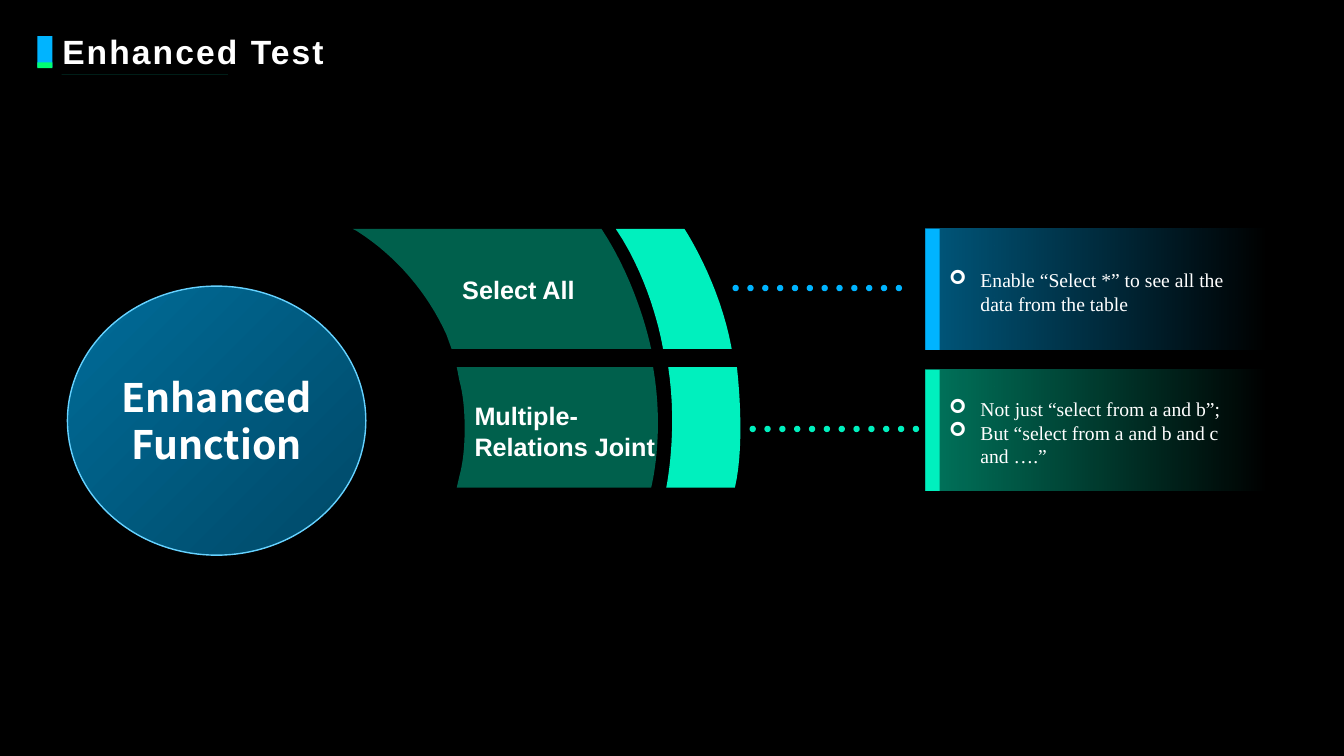
"""Build the Enhanced Test slide: a function circle, two curved bands and two notes."""
import math

from lxml import etree
from pptx import Presentation
from pptx.dml.color import RGBColor
from pptx.enum.shapes import MSO_CONNECTOR, MSO_SHAPE
from pptx.enum.text import MSO_ANCHOR, PP_ALIGN
from pptx.oxml.ns import qn
from pptx.util import Cm, Pt

RECTANGLE, OVAL = MSO_SHAPE.RECTANGLE, MSO_SHAPE.OVAL
STRAIGHT = MSO_CONNECTOR.STRAIGHT
TOP, MIDDLE = MSO_ANCHOR.TOP, MSO_ANCHOR.MIDDLE
LEFT, CENTER = PP_ALIGN.LEFT, PP_ALIGN.CENTER

BLACK, WHITE, BLUE, GREEN, TEAL = "000000", "FFFFFF", "00B4FF", "00FF73", "00F0BE"


def color(value):
    return RGBColor.from_string(value)


def set_alpha(element, percent):
    for color_node in element.iter(qn("a:srgbClr")):
        etree.SubElement(color_node, qn("a:alpha"), val=str(percent * 1000))


def bezier(start, control, steps=16):
    x1, y1, x2, y2, x3, y3 = control
    for step in range(1, steps + 1):
        t = step / steps
        u = 1 - t
        weights = u ** 3, 3 * u * u * t, 3 * u * t * t, t ** 3
        yield (sum(w * x for w, x in zip(weights, (start[0], x1, x2, x3))),
               sum(w * y for w, y in zip(weights, (start[1], y1, y2, y3))))


def outline(segments):
    """Flatten a list of points and six-number curves into points."""
    points = []
    for segment in segments:
        points.extend([segment] if len(segment) == 2 else bezier(points[-1], segment))
    return points


def write(text_frame, lines, font="Arial", size=18, bold=True, align=LEFT,
          anchor=TOP, spacing=None, tracking=None, bullet=None):
    text_frame.word_wrap = True
    text_frame.vertical_anchor = anchor
    for index, line in enumerate(lines):
        paragraph = text_frame.add_paragraph() if index else text_frame.paragraphs[0]
        paragraph.alignment = align
        if spacing:
            paragraph.line_spacing = spacing
        run = paragraph.add_run()
        run.text = line
        run.font.name, run.font.size, run.font.bold = font, Pt(size), bold
        run.font.color.rgb = color(WHITE)
        if tracking:
            run._r.get_or_add_rPr().set("spc", str(tracking))
        if bullet:
            properties = paragraph._p.get_or_add_pPr()
            properties.set("marL", str(Cm(0.79)))
            properties.set("indent", str(-Cm(0.79)))
            etree.SubElement(properties, qn("a:buFont"), typeface="Wingdings")
            etree.SubElement(properties, qn("a:buChar"), char=bullet)


class SlideBuilder:
    def __init__(self, slide):
        self.shapes = slide.shapes
        slide.background.fill.solid()
        slide.background.fill.fore_color.rgb = color(BLACK)

    def paint(self, shape, fill, alpha=None):
        shape.shadow.inherit = False
        shape.line.fill.background()
        shape.fill.solid()
        shape.fill.fore_color.rgb = color(fill)
        if alpha is not None:
            set_alpha(shape._element.spPr, alpha)
        return shape

    def preset(self, kind, box, fill):
        return self.paint(self.shapes.add_shape(kind, *map(Cm, box)), fill)

    def gradient(self, shape, stops, angle):
        shape.fill.gradient()
        shape.fill.gradient_angle = angle
        for stop, (fill, alpha) in zip(shape.fill.gradient_stops, stops):
            stop.color.rgb = color(fill)
            set_alpha(stop._gs, alpha)

    def freeform(self, contours, fill, alpha=None):
        scaled = [[(Cm(x), Cm(y)) for x, y in contour] for contour in contours]
        builder = self.shapes.build_freeform(*scaled[0][0], scale=1.0)
        for index, (start, *rest) in enumerate(scaled):
            if index:
                builder.move_to(*start)
            builder.add_line_segments(rest, close=True)
        return self.paint(builder.convert_to_shape(), fill, alpha)

    def dots(self, first_x, center_y, fill, count=12, pitch=0.374, radius=0.08):
        turns = [math.tau * step / 16 for step in range(16)]
        self.freeform([[(first_x + pitch * index + radius * math.cos(turn),
                         center_y + radius * math.sin(turn)) for turn in turns]
                       for index in range(count)], fill)

    def rule(self, x1, x2, y, stroke, alpha):
        line = self.shapes.add_connector(STRAIGHT, Cm(x1), Cm(y), Cm(x2), Cm(y))
        line.line.color.rgb = color(stroke)
        line.line.width = Pt(0.5)
        set_alpha(line._element.spPr, alpha)
        etree.SubElement(line._element.spPr, qn("a:effectLst"))

    def text(self, box, lines, **style):
        write(self.shapes.add_textbox(*map(Cm, box)).text_frame, lines, **style)

    def card(self, top, fill, text_box, lines):
        panel = self.preset(RECTANGLE, (23.32, top, 8.71, 3.05), fill)
        self.gradient(panel, [(fill, 50), (fill, 0)], 0)
        self.preset(RECTANGLE, (23.32, top, 0.36, 3.05), fill)
        self.text(text_box, lines, font="Times New Roman", size=14, bold=False, bullet="➢")

    def circle(self, box, lines):
        shape = self.preset(OVAL, box, BLUE)
        self.gradient(shape, [("006C99", 100), ("004866", 100)], 315)
        shape.line.color.rgb = color("66D2FF")
        shape.line.width = Pt(1)
        write(shape.text_frame, lines, font="Noto Sans CJK SC", size=28,
              align=CENTER, anchor=MIDDLE)


def main():
    presentation = Presentation()
    presentation.slide_width, presentation.slide_height = Cm(33.87), Cm(19.05)
    builder = SlideBuilder(presentation.slides.add_slide(presentation.slide_layouts[6]))

    builder.preset(RECTANGLE, (0.94, 0.91, 0.38, 0.79), BLUE)
    builder.preset(RECTANGLE, (0.94, 1.57, 0.38, 0.15), GREEN)
    builder.rule(1.55, 5.74, 1.88, TEAL, 20)
    builder.text((1.32, 0.76, 31.17, 1.24), ["Enhanced Test"],
                 size=24, spacing=0.9, tracking=150)

    builder.card(5.77, BLUE, (23.67, 6.63, 7.87, 1.45),
                 ["Enable “Select *” to see all the data from the table"])
    builder.card(9.32, TEAL, (23.67, 9.88, 7.8, 2.06),
                 ["Not just “select from a and b”;", "But “select from a and b and c and ….”"])
    builder.circle((1.7, 7.21, 7.52, 6.78), ["Enhanced", "Function"])
    builder.dots(18.54, 7.26, BLUE)
    builder.dots(18.97, 10.81, TEAL)

    lower_band = [(16.41, 12.29), (11.51, 12.29), (11.58, 11.99),
                  (11.68, 11.61, 11.71, 11.2, 11.71, 10.8),
                  (11.71, 10.39, 11.68, 9.98, 11.58, 9.6),
                  (11.51, 9.25), (16.46, 9.25), (16.76, 10.97, 16.41, 12.29, 16.41, 12.29)]
    upper_band = [(16.41, 8.79), (11.38, 8.79), (11.25, 8.43),
                  (10.77, 7.37, 9.98, 6.45, 8.99, 5.82),
                  (8.89, 5.77), (15.16, 5.77), (16.1, 7.19, 16.41, 8.79, 16.41, 8.79)]
    lower_edge = [(16.79, 12.29), (16.79, 12.29, 17.09, 10.87, 16.84, 9.25),
                  (18.57, 9.25), (18.57, 9.25, 18.8, 11.1, 18.52, 12.29)]
    upper_edge = [(16.71, 8.79), (16.71, 8.79, 16.46, 7.16, 15.52, 5.77),
                  (17.25, 5.77), (17.25, 5.77, 18.14, 7.11, 18.44, 8.79)]
    for segments, alpha in ((lower_band, 40), (upper_band, 40),
                            (lower_edge, None), (upper_edge, None)):
        builder.freeform([outline(segments)], TEAL, alpha)

    builder.text((11.71, 9.96, 5.13, 1.8), ["Multiple-Relations Joint"], anchor=MIDDLE)
    builder.text((11.4, 6.4, 4.17, 1.8), ["Select All"], anchor=MIDDLE)
    presentation.save("out.pptx")


if __name__ == "__main__":
    main()
